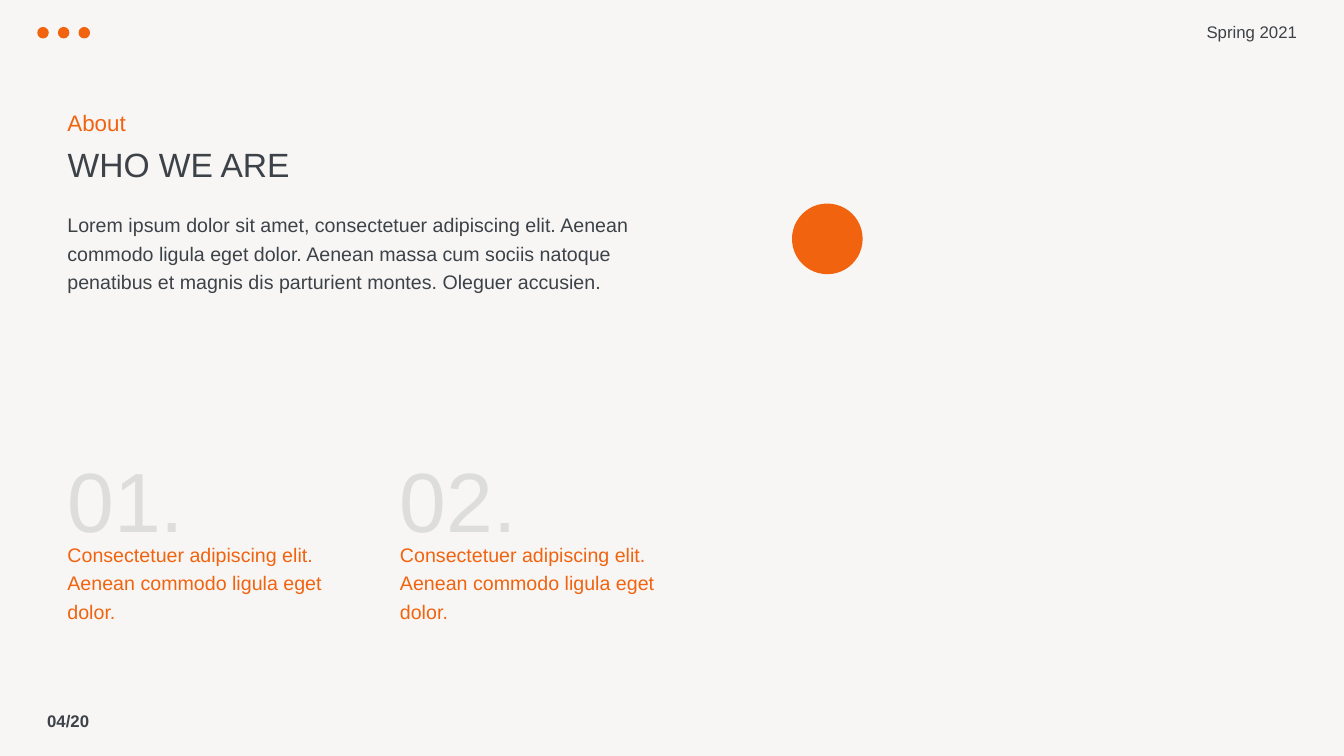
from pptx import Presentation
from pptx.dml.color import RGBColor
from pptx.enum.shapes import MSO_SHAPE
from pptx.enum.text import MSO_ANCHOR, MSO_AUTO_SIZE, PP_ALIGN
from pptx.util import Cm, Pt

OVAL = MSO_SHAPE.OVAL
TOP, MIDDLE, BOTTOM = MSO_ANCHOR.TOP, MSO_ANCHOR.MIDDLE, MSO_ANCHOR.BOTTOM
LEFT, RIGHT = PP_ALIGN.LEFT, PP_ALIGN.RIGHT
NO_AUTOFIT = MSO_AUTO_SIZE.NONE

FONT = "Arial"
COLORS = {
    "background": "F7F6F4",
    "text": "3D4248",
    "accent": "F1630F",
    "number": "DDDDDB",
}
TITLE_ONLY = 5
MARGIN = 1.45
TEXT_WIDTH = 15.47
COLUMN_WIDTH = 7.11
COLUMN_STEP = 8.38

INTRO = (
    "Lorem ipsum dolor sit amet, consectetuer adipiscing elit. Aenean "
    "commodo ligula eget dolor. Aenean massa cum sociis natoque "
    "penatibus et magnis dis parturient montes. Oleguer accusien."
)
POINTS = [
    ("01.", "Consectetuer adipiscing elit. Aenean commodo ligula eget dolor."),
    ("02.", "Consectetuer adipiscing elit. Aenean commodo ligula eget dolor."),
]


def color(name):
    return RGBColor.from_string(COLORS[name])


def format_text(shape, text, size, color_name="text", bold=False,
                align=LEFT, anchor=TOP, line_spacing=1.0):
    text_frame = shape.text_frame
    text_frame.text = text
    text_frame.word_wrap = True
    text_frame.auto_size = NO_AUTOFIT
    text_frame.vertical_anchor = anchor
    paragraph = text_frame.paragraphs[0]
    paragraph.alignment = align
    paragraph.line_spacing = line_spacing
    font = paragraph.runs[0].font
    font.name = FONT
    font.size = Pt(size)
    font.bold = bold
    font.color.rgb = color(color_name)


def add_text(slide, left, top, width, height, text, size, **options):
    shape = slide.shapes.add_textbox(Cm(left), Cm(top), Cm(width), Cm(height))
    format_text(shape, text, size, **options)


def set_title(slide, left, top, width, height, text, size, **options):
    title = slide.shapes.title
    title.left, title.top = Cm(left), Cm(top)
    title.width, title.height = Cm(width), Cm(height)
    format_text(title, text, size, **options)


def add_dot(shapes, left, top, diameter):
    dot = shapes.add_shape(OVAL, Cm(left), Cm(top), Cm(diameter), Cm(diameter))
    dot.shadow.inherit = False
    dot.fill.solid()
    dot.fill.fore_color.rgb = color("accent")
    dot.line.fill.background()


def main():
    presentation = Presentation()
    presentation.slide_width = Cm(33.87)
    presentation.slide_height = Cm(19.05)
    slide = presentation.slides.add_slide(presentation.slide_layouts[TITLE_ONLY])
    slide.background.fill.solid()
    slide.background.fill.fore_color.rgb = color("background")

    # Page number, date and the row of dots
    add_text(slide, 0.94, 17.65, 7.62, 1.02, "04/20", 12, bold=True, anchor=MIDDLE)
    add_text(slide, 28.93, 0.3, 4.01, 1.02, "Spring 2021", 12,
             align=RIGHT, anchor=MIDDLE)
    dots = slide.shapes.add_group_shape()
    for index in range(3):
        add_dot(dots.shapes, 0.94 + 0.52 * index, 0.68, 0.29)

    # Heading and introduction
    add_text(slide, MARGIN, 2.62, 9.02, 0.94, "About", 16, color_name="accent")
    set_title(slide, MARGIN, 3.51, TEXT_WIDTH, 1.27, "WHO WE ARE", 24, anchor=BOTTOM)
    add_text(slide, MARGIN, 5.13, TEXT_WIDTH, 2.36, INTRO, 14, line_spacing=1.2)

    # Numbered points
    for index, (number, text) in enumerate(POINTS):
        left = MARGIN + COLUMN_STEP * index
        add_text(slide, left, 11.17, COLUMN_WIDTH, 2.58, number, 60,
                 color_name="number")
        add_text(slide, left, 13.44, COLUMN_WIDTH, 2.36, text, 14,
                 color_name="accent", line_spacing=1.2)

    # Large accent circle
    add_dot(slide.shapes, 19.96, 5.13, 1.78)

    presentation.save("out.pptx")


if __name__ == "__main__":
    main()
